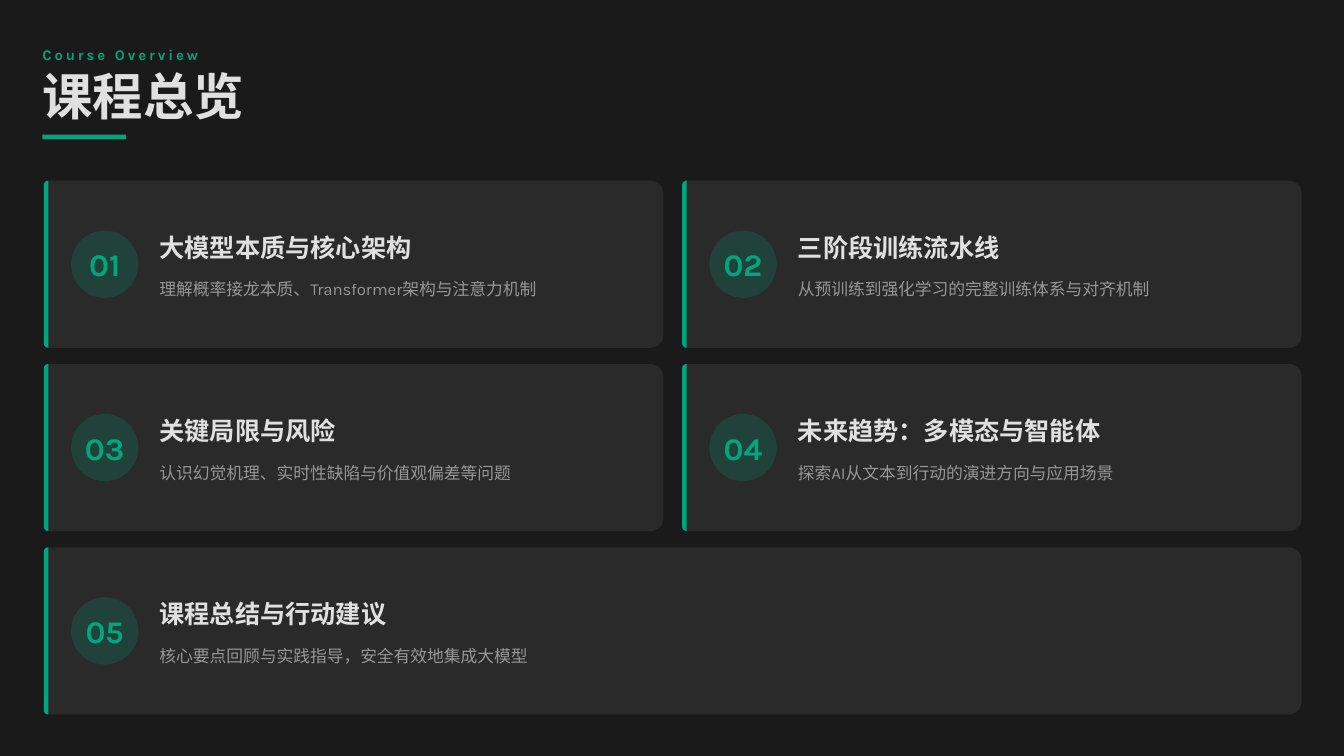
from math import cos, pi, sin

from lxml.etree import SubElement
from pptx import Presentation
from pptx.dml.color import RGBColor
from pptx.enum.shapes import MSO_SHAPE
from pptx.enum.text import MSO_ANCHOR, PP_ALIGN
from pptx.oxml.ns import qn
from pptx.util import Inches, Pt

KICKER = "Course Overview"
TITLE = "课程总览"
CHAPTERS = [
    ("大模型本质与核心架构", "理解概率接龙本质、Transformer架构与注意力机制"),
    ("三阶段训练流水线", "从预训练到强化学习的完整训练体系与对齐机制"),
    ("关键局限与风险", "认识幻觉机理、实时性缺陷与价值观偏差等问题"),
    ("未来趋势：多模态与智能体", "探索AI从文本到行动的演进方向与应用场景"),
    ("课程总结与行动建议", "核心要点回顾与实践指导，安全有效地集成大模型"),
]

FONT = "Karla"
COLORS = {"bg": "1A1A1A", "card": "2A2A2A", "accent": "00A67E", "text": "E0E0E0"}
STYLES = {
    "kicker": {"size": 14, "bold": True, "color": "accent", "line": 1.2, "spacing": 2.8},
    "title": {"size": 48, "bold": True, "color": "text", "line": 0.8},
    "number": {"size": 30, "bold": True, "color": "accent", "align": PP_ALIGN.CENTER},
    "heading": {"size": 24, "bold": True, "color": "text", "line": 1.1},
    "detail": {"size": 16, "bold": False, "color": "text", "line": 1.4, "alpha": 60},
}

SLIDE_W, SLIDE_H = 17.78, 10
LEFT, TOP, RIGHT, BOTTOM = 0.58, 2.39, 17.22, 9.45
COLS, ROWS = 2, 3
CARD_H, GAP = 2.21, 0.25
CARD_W = (RIGHT - LEFT - GAP) / COLS
PITCH = (BOTTOM - TOP - CARD_H) / (ROWS - 1)
BAR_W, CORNER = 0.06, 0.17
BADGE, BADGE_X = 0.89, 0.36
TEXT_X, TEXT_W = 1.53, 5.2
ARC_STEPS = 8


def fade(element, percent):
    for clr in element.iter(qn("a:srgbClr")):
        SubElement(clr, qn("a:alpha"), val=str(percent * 1000))


def paint(sp, color):
    sp.shadow.inherit = False
    sp.fill.solid()
    sp.fill.fore_color.rgb = RGBColor.from_string(COLORS[color])
    sp.line.fill.background()
    return sp


def write(sp, text, style):
    fmt = STYLES[style]
    tf = sp.text_frame
    for name, value in {
        "word_wrap": True, "vertical_anchor": MSO_ANCHOR.MIDDLE,
        "margin_left": 0, "margin_right": 0, "margin_top": 0, "margin_bottom": 0,
    }.items():
        setattr(tf, name, value)
    p = tf.paragraphs[0]
    p.alignment = fmt.get("align", PP_ALIGN.LEFT)
    p.line_spacing = fmt.get("line", 1.0)
    r = p.add_run()
    r.text = text
    for name, value in {"name": FONT, "size": Pt(fmt["size"]), "bold": fmt["bold"]}.items():
        setattr(r.font, name, value)
    r.font.color.rgb = RGBColor.from_string(COLORS[fmt["color"]])
    rPr = r._r.get_or_add_rPr()
    SubElement(rPr, qn("a:ea"), typeface=FONT)
    if "spacing" in fmt:
        rPr.set("spc", str(round(fmt["spacing"] * 100)))
    if "alpha" in fmt:
        fade(rPr, fmt["alpha"])


def add_text(s, x, y, w, h, text, style):
    write(s.shapes.add_textbox(Inches(x), Inches(y), Inches(w), Inches(h)), text, style)


def add_panel(s, x, y, w, h, left_r, right_r, color):
    corners = [
        (x + left_r, y + left_r, left_r, pi),
        (x + w - right_r, y + right_r, right_r, 1.5 * pi),
        (x + w - right_r, y + h - right_r, right_r, 0),
        (x + left_r, y + h - left_r, left_r, 0.5 * pi),
    ]
    points = []
    for cx, cy, radius, start in corners:
        steps = ARC_STEPS if radius else 0
        for i in range(steps + 1):
            angle = start + i * pi / 2 / ARC_STEPS
            points.append((Inches(cx + radius * cos(angle)), Inches(cy + radius * sin(angle))))
    outline = s.shapes.build_freeform(*points[0])
    outline.add_line_segments(points[1:], close=True)
    paint(outline.convert_to_shape(), color)


def add_card(s, index, heading, detail):
    row, col = divmod(index, COLS)
    x, y = LEFT + col * (CARD_W + GAP), TOP + row * PITCH
    is_last = index == len(CHAPTERS) - 1
    add_panel(s, x, y, RIGHT - x if is_last else CARD_W, CARD_H, BAR_W, CORNER, "card")
    add_panel(s, x, y, BAR_W, CARD_H, BAR_W, 0, "accent")
    badge = s.shapes.add_shape(
        MSO_SHAPE.OVAL, Inches(x + BADGE_X), Inches(y + (CARD_H - BADGE) / 2),
        Inches(BADGE), Inches(BADGE))
    paint(badge, "accent")
    fade(badge._element.spPr, 20)
    write(badge, f"{index + 1:02d}", "number")
    add_text(s, x + TEXT_X, y + 0.64, TEXT_W, 0.44, heading, "heading")
    add_text(s, x + TEXT_X, y + 1.2, TEXT_W, 0.36, detail, "detail")


def main():
    prs = Presentation()
    prs.slide_width, prs.slide_height = Inches(SLIDE_W), Inches(SLIDE_H)
    s = prs.slides.add_slide(prs.slide_layouts[6])
    s.background.fill.solid()
    s.background.fill.fore_color.rgb = RGBColor.from_string(COLORS["bg"])

    add_text(s, 0.56, 0.56, 16.76, 0.28, KICKER, "kicker")
    add_text(s, 0.56, 1, 17, 0.67, TITLE, "title")
    paint(s.shapes.add_shape(
        MSO_SHAPE.RECTANGLE, Inches(0.56), Inches(1.78), Inches(1.11), Inches(0.06)), "accent")
    for index, (heading, detail) in enumerate(CHAPTERS):
        add_card(s, index, heading, detail)
    prs.save("out.pptx")


if __name__ == "__main__":
    main()
